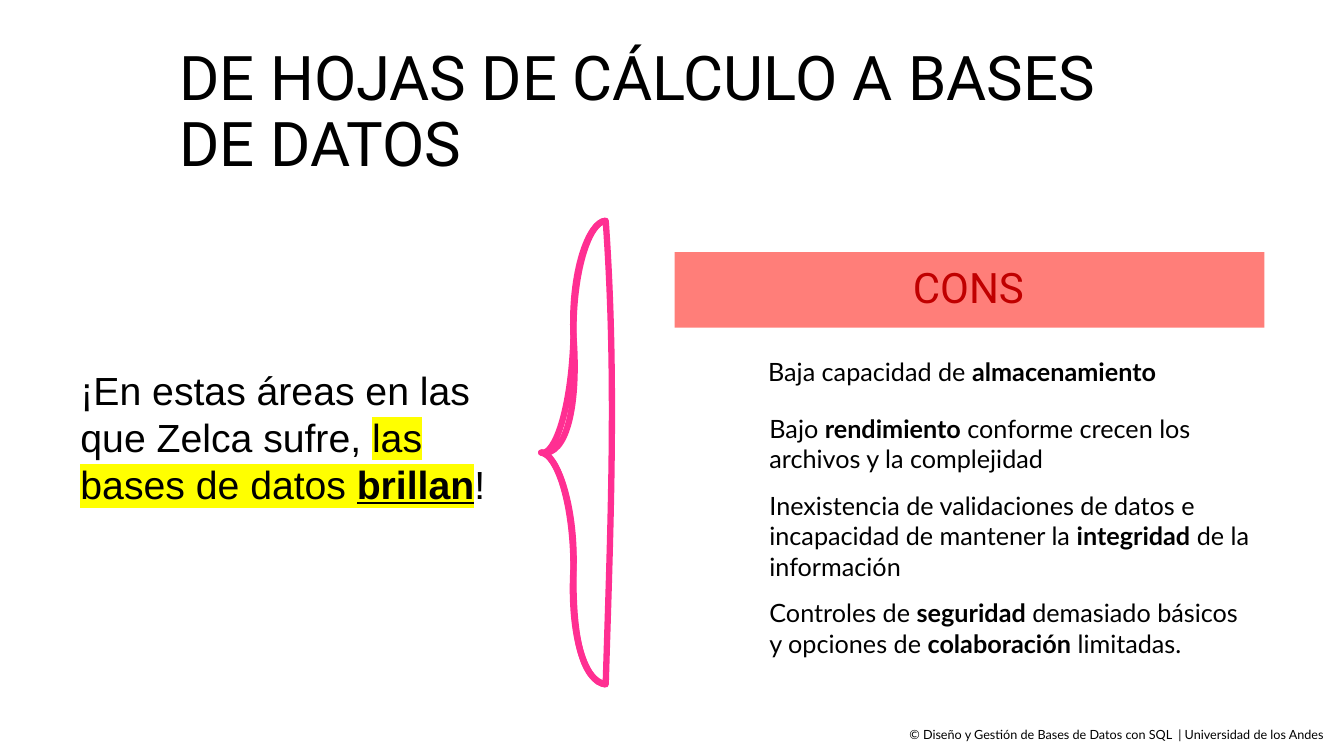
from dataclasses import dataclass

from lxml import etree
from pptx import Presentation
from pptx import util as u
from pptx.dml.color import RGBColor
from pptx.enum import shapes, text
from pptx.oxml.ns import qn


@dataclass(frozen=True)
class Theme:
    ink: str = "000000"
    band: str = "FF7E79"
    cons: str = "C00000"
    brace: str = "FF2F92"
    marker: str = "FFFF00"
    display: str = "Roboto"
    body: str = "Lato"
    plain: str = "Arial"
    title_size: int = 44
    cons_size: int = 30
    claim_size: int = 28
    body_size: int = 18
    footer_size: int = 9


class Deck:
    def __init__(self, theme):
        self.theme = theme
        self.prs = Presentation()
        self.prs.slide_width, self.prs.slide_height = u.Pt(960), u.Pt(540)
        self.s = self.prs.slides.add_slide(self.prs.slide_layouts[6])

    def text(self, box, runs, size, font, color=None, align=text.PP_ALIGN.LEFT,
             middle=False, spacing=None, inset=(7.2, 3.6)):
        sp = self.s.shapes.add_textbox(*map(u.Pt, box))
        tf = sp.text_frame
        tf.word_wrap = True
        tf.margin_left = tf.margin_right = u.Pt(inset[0])
        tf.margin_top = tf.margin_bottom = u.Pt(inset[1])
        if middle:
            tf.vertical_anchor = text.MSO_ANCHOR.MIDDLE
        else:
            tf.auto_size = text.MSO_AUTO_SIZE.SHAPE_TO_FIT_TEXT
        p = tf.paragraphs[0]
        p.alignment = align
        if spacing:
            p.line_spacing = spacing
        for words, marks in runs:
            r = p.add_run()
            r.text = words
            r.font.size = u.Pt(size)
            r.font.color.rgb = RGBColor.from_string(color or self.theme.ink)
            if "h" in marks:
                hl = etree.SubElement(r.font._element, qn("a:highlight"))
                etree.SubElement(hl, qn("a:srgbClr"), val=self.theme.marker)
            r.font.name = font
            r.font.bold = "b" in marks
            r.font.underline = "u" in marks

    def band(self, box, color):
        sp = self.s.shapes.add_shape(shapes.MSO_SHAPE.RECTANGLE, *map(u.Pt, box))
        sp.shadow.inherit = False
        sp.fill.solid()
        sp.fill.fore_color.rgb = RGBColor.from_string(color)
        sp.line.fill.background()

    def curves(self, strokes, color, width):
        pen = self.s.shapes.build_freeform(*map(u.Pt, strokes[0][0]))
        controls = []
        for i, (start, arcs, closed) in enumerate(strokes):
            if i:
                pen.move_to(*map(u.Pt, start))
            pen.add_line_segments([tuple(map(u.Pt, arc[2])) for arc in arcs], close=closed)
            controls += [arc[:2] for arc in arcs]
        sp = pen.convert_to_shape()
        for segment, handles in zip(list(sp._element.iter(qn("a:lnTo"))), controls):
            segment.tag = qn("a:cubicBezTo")
            for i, (x, y) in enumerate(handles):
                pt = etree.Element(qn("a:pt"), x=str(u.Pt(x) - sp.left), y=str(u.Pt(y) - sp.top))
                segment.insert(i, pt)
        sp.shadow.inherit = False
        sp.fill.background()
        sp.line.color.rgb = RGBColor.from_string(color)
        sp.line.width = u.Pt(width)
        etree.SubElement(sp.line._ln, qn("a:round"))


BOTTOM, LOWER, TIP = (432.7, 488.9), (409.7, 406.1), (386.6, 323.3)
UPPER, TOP = (409.7, 240.5), (432.7, 157.7)
BRACE = [
    (BOTTOM, [
        ((414.7, 485.3), (409, 452.2), LOWER),
        ((411.1, 360.7), (397.4, 323.3), TIP),
        ((396, 326.2), (408.2, 293), UPPER),
        ((409, 195.1), (420.5, 158.4), TOP),
        ((440.6, 269.3), (436.3, 371.5), BOTTOM),
    ], True),
    (BOTTOM, [
        ((418.3, 488.2), (406.8, 454.3), LOWER),
        ((409.7, 360), (398.2, 324.7), TIP),
        ((405.4, 326.9), (413.3, 287.3), UPPER),
        ((407.5, 194.4), (420.5, 158.4), TOP),
    ], False),
]

DRAWBACKS = [
    ((541.6, 250.9, 361.4, 28.8), [("Baja capacidad de ", ""), ("almacenamiento", "b")]),
    ((542.5, 291.6, 360.7, 51.1), [
        ("Bajo ", ""), ("rendimiento", "b"),
        (" conforme crecen los archivos y la complejidad", "")]),
    ((542.5, 346.7, 358.6, 72.7), [
        ("Inexistencia de validaciones de datos e incapacidad de mantener la ", ""),
        ("integridad", "b"), (" de la información", "")]),
    ((542.5, 423.4, 358.6, 51.1), [
        ("Controles de ", ""), ("seguridad", "b"),
        (" demasiado básicos y opciones de ", ""), ("colaboración", "b"),
        (" limitadas.", "")]),
]

CLAIM = [
    ("¡En estas áreas en las que Zelca sufre, ", ""),
    ("las bases de datos ", "h"), ("brillan", "hbu"), ("!", ""),
]


def main():
    th = Theme()
    deck = Deck(th)
    tight = (3.6, 1.44)
    deck.band((481.9, 180, 421.2, 54), th.band)
    deck.text((124.6, 28.8, 709.2, 104.4),
              [("DE HOJAS DE CÁLCULO A BASES DE DATOS", "")],
              th.title_size, th.display, middle=True, spacing=0.9, inset=tight)
    deck.text((14.4, 517.7, 936.7, 14.4),
              [("© Diseño y Gestión de Bases de Datos con SQL  | Universidad de los Andes ", "")],
              th.footer_size, th.body, align=text.PP_ALIGN.RIGHT, inset=tight)
    deck.text((482.6, 183.2, 418.3, 47.5), [("CONS", "")], th.cons_size, th.display,
              th.cons, text.PP_ALIGN.CENTER, middle=True, spacing=0.9, inset=tight)
    for box, runs in DRAWBACKS:
        deck.text(box, runs, th.body_size, th.body)
    deck.curves(BRACE, th.brace, 4.5)
    deck.text((50.4, 257.8, 329.8, 108.7), CLAIM, th.claim_size, th.plain)
    deck.prs.save("out.pptx")


if __name__ == "__main__":
    main()
